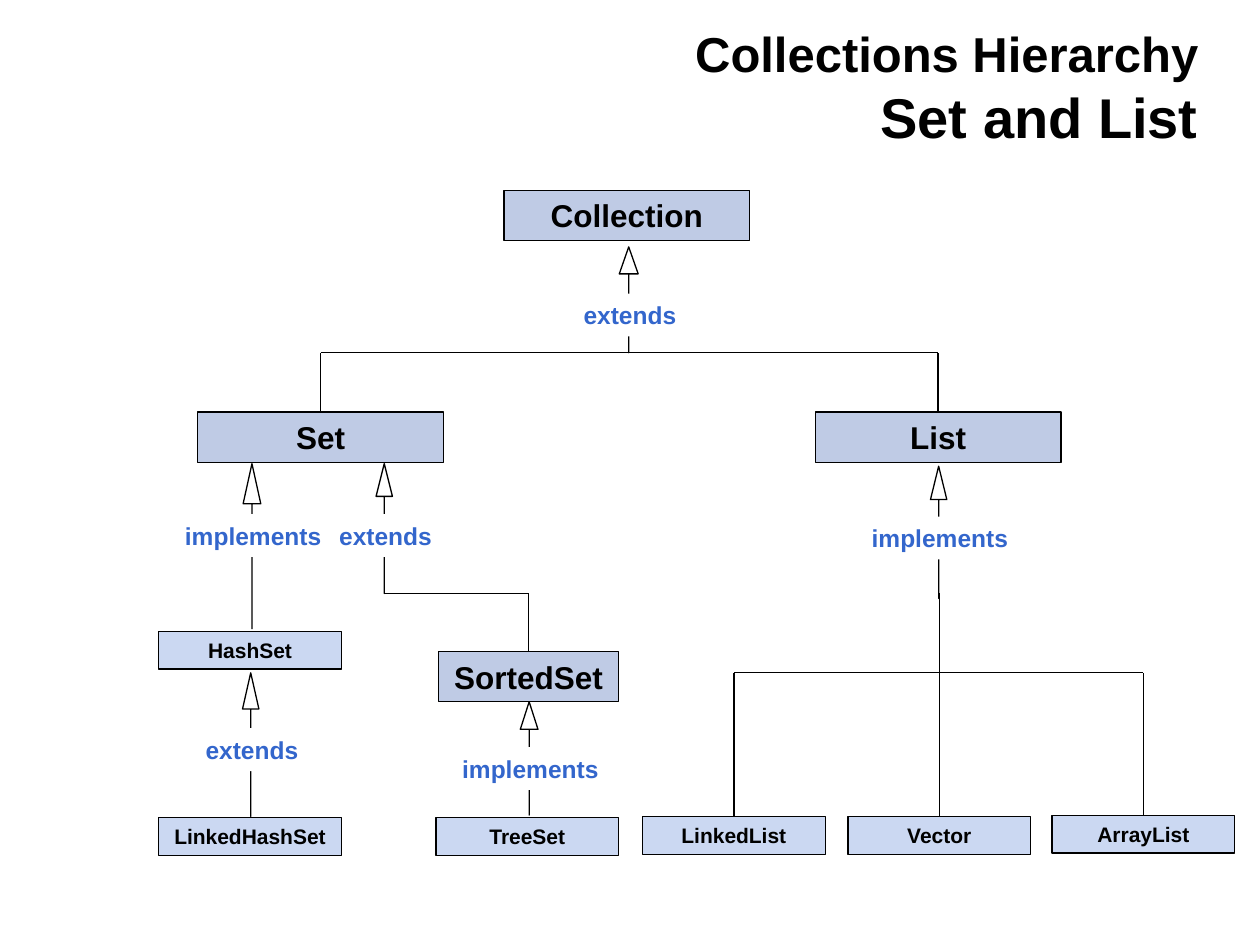
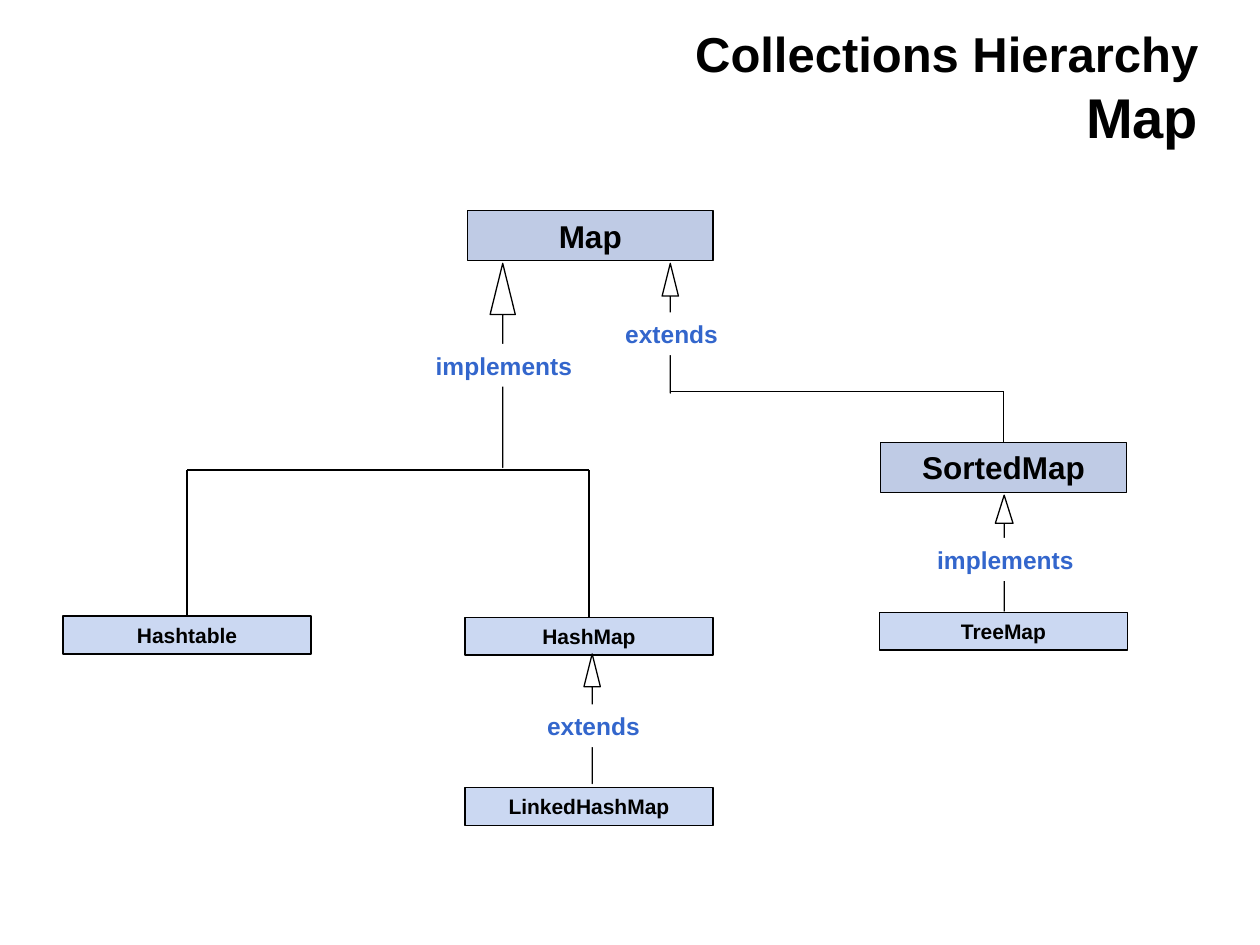
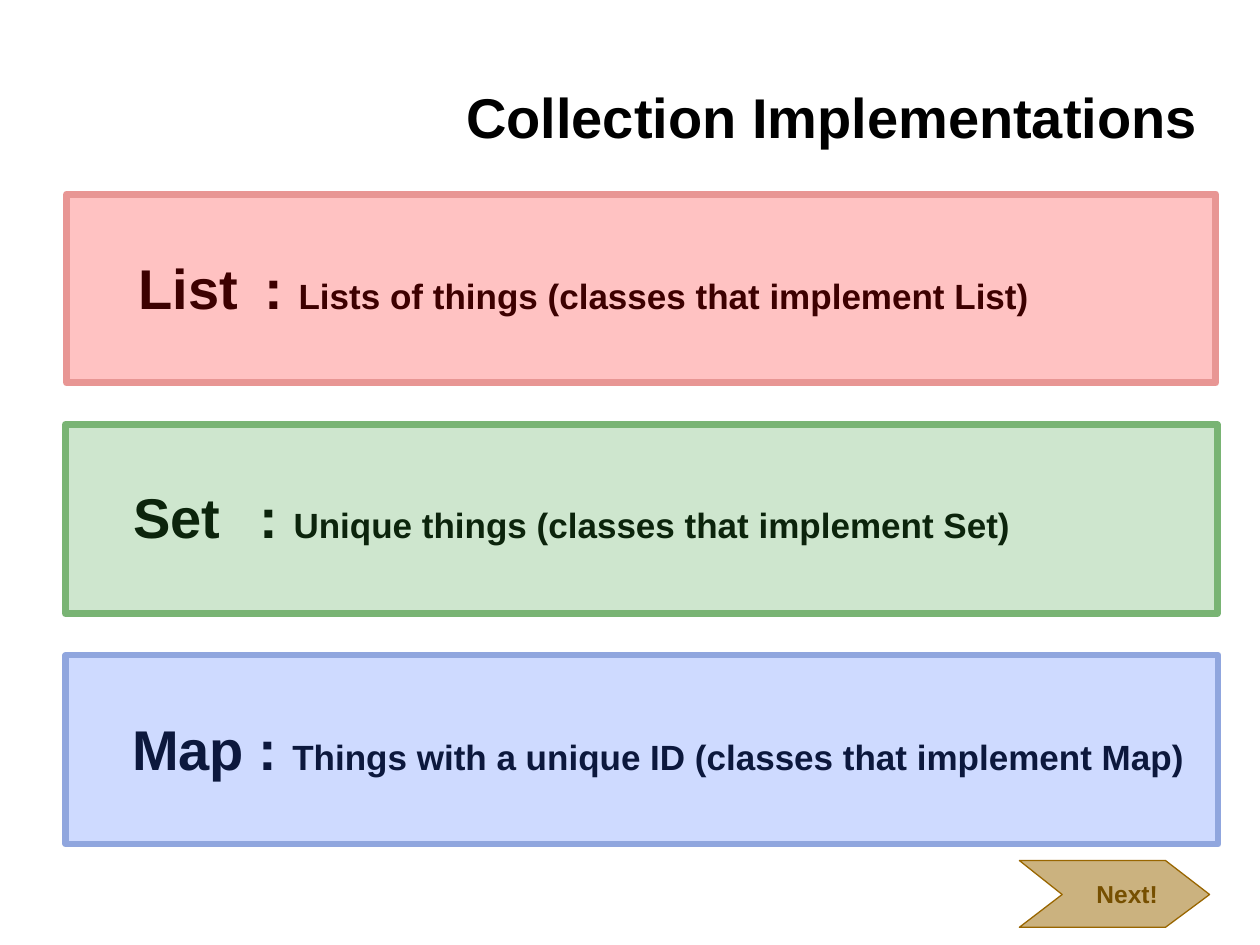
import pptx
import pptx.dml.color
import pptx.enum.shapes
import pptx.enum.text
import pptx.oxml.ns
import pptx.util
from lxml import etree

Inches = pptx.util.Inches
Pt = pptx.util.Pt
ALIGN = pptx.enum.text.PP_ALIGN
ANCHOR = pptx.enum.text.MSO_ANCHOR
SHAPE = pptx.enum.shapes.MSO_SHAPE

FONT = "Arial"
COLORS = {
    "black": "000000",
    "white": "FFFFFF",
    "interface": "003399",
    "class": "3366CC",
    "relation": "3366CC",
    "list": "FF0000",
    "list_line": "E89694",
    "set": "339933",
    "set_line": "79B474",
    "map": "3366FF",
    "map_line": "90A6DE",
    "next": "996600",
    "next_text": "764F00",
}
LABEL_WIDTHS = {"implements": 1.33, "extends": 0.98}
TITLE_LAYOUT = 5


def rgb(name):
    return pptx.dml.color.RGBColor.from_string(COLORS[name])


def add_child(parent, tag, **attributes):
    return etree.SubElement(parent, pptx.oxml.ns.qn(tag), **attributes)


def paint(shape, fill, line=None, line_width=0.75, opacity=100):
    shape.shadow.inherit = False
    shape.fill.solid()
    shape.fill.fore_color.rgb = rgb(fill)
    if opacity < 100:
        color = shape.fill._xPr.find(".//" + pptx.oxml.ns.qn("a:srgbClr"))
        add_child(color, "a:alpha", val=str(opacity * 1000))
    if line:
        shape.line.color.rgb = rgb(line)
        shape.line.width = Pt(line_width)
    else:
        shape.line.fill.background()


def format_run(run, size, color="black"):
    run.font.name = FONT
    run.font.size = Pt(size)
    run.font.bold = True
    run.font.color.rgb = rgb(color)


def write_centred(shape, text, size, color):
    frame = shape.text_frame
    frame.word_wrap = False
    frame.vertical_anchor = ANCHOR.MIDDLE
    frame.text = text
    paragraph = frame.paragraphs[0]
    paragraph.alignment = ALIGN.CENTER
    format_run(paragraph.runs[0], size, color)


def add_shape(slide, kind, left, top, width, height):
    return slide.shapes.add_shape(
        kind, Inches(left), Inches(top), Inches(width), Inches(height))


def add_titled_slide(presentation, title, sizes):
    slide = presentation.slides.add_slide(
        presentation.slide_layouts[TITLE_LAYOUT])
    shape = slide.shapes.title
    shape.left, shape.top = Inches(0.7), Inches(0.04)
    shape.width, shape.height = Inches(8.91), Inches(1.2)
    frame = shape.text_frame
    frame.auto_size = pptx.enum.text.MSO_AUTO_SIZE.NONE
    frame.vertical_anchor = ANCHOR.BOTTOM
    frame.text = title
    paragraph = frame.paragraphs[0]
    paragraph.alignment = ALIGN.RIGHT
    for run, size in zip(paragraph.runs, sizes):
        format_run(run, size)
    return slide


def add_interface(slide, name, left, top, width=1.95):
    box = add_shape(slide, SHAPE.RECTANGLE, left, top, width, 0.4)
    paint(box, "interface", "black", opacity=25)
    write_centred(box, name, 18, "black")
    return box


def add_class(slide, name, left, top, width):
    box = add_shape(slide, SHAPE.RECTANGLE, left, top, width, 0.3)
    paint(box, "class", "black", opacity=25)
    write_centred(box, name, 12, "black")
    return box


def add_relation(slide, text, center, top, width, height, head, label_top):
    arrow = add_shape(
        slide, SHAPE.UP_ARROW, center - width / 2, top, width, height)
    arrow.adjustments[0] = 0
    arrow.adjustments[1] = head
    paint(arrow, "white", "black")
    label_width = LABEL_WIDTHS[text]
    label = add_shape(slide, SHAPE.RECTANGLE, center + 0.01 - label_width / 2,
                      label_top, label_width, 0.34)
    paint(label, "white")
    write_centred(label, text, 14, "relation")


def add_line(slide, start_x, start_y, end_x, end_y):
    connector = slide.shapes.add_connector(
        pptx.enum.shapes.MSO_CONNECTOR.STRAIGHT,
        Inches(start_x), Inches(start_y), Inches(end_x), Inches(end_y))
    connector.line.color.rgb = rgb("black")
    connector.line.width = Pt(0.75)
    add_child(connector._element.spPr, "a:effectLst")
    return connector


def center_x(box):
    return box.left.inches + box.width.inches / 2


def add_riser(slide, box, top):
    center = center_x(box)
    riser = add_line(slide, center, box.top.inches, center, top)
    riser.begin_connect(box, 0)


def add_branch(slide, stem, top, boxes):
    centers = [stem] + [center_x(box) for box in boxes]
    add_line(slide, min(centers), top, max(centers), top)
    for box in boxes:
        add_riser(slide, box, top)


def add_definition(slide, term, meaning, left, top, width, right_margin=0.1):
    box = slide.shapes.add_textbox(
        Inches(left), Inches(top), Inches(width), Inches(0.64))
    frame = box.text_frame
    frame.word_wrap = True
    frame.margin_right = Inches(right_margin)
    paragraph = frame.paragraphs[0]
    tabs = add_child(paragraph._p.get_or_add_pPr(), "a:tabLst")
    add_child(tabs, "a:tab", pos=str(Inches(1)), algn="l")
    for text, size in ((term + "\t: ", 32), (meaning, 20)):
        run = paragraph.add_run()
        run.text = text
        format_run(run, size)


def add_band(slide, color, left, top, width, line_width):
    band = add_shape(slide, SHAPE.RECTANGLE, left, top, width, 1.5)
    paint(band, color, color + "_line", line_width, opacity=24)


def add_next_arrow(slide):
    outline = [(8.09, 6.83), (9.25, 6.83), (9.6, 7.1),
               (9.25, 7.36), (8.09, 7.36), (8.43, 7.1)]
    points = [(Inches(x), Inches(y)) for x, y in outline]
    builder = slide.shapes.build_freeform(*points[0])
    builder.add_line_segments(points[1:], close=True)
    arrow = builder.convert_to_shape()
    paint(arrow, "next", "next", opacity=50)
    write_centred(arrow, "Next!", 14, "next_text")
    arrow.text_frame.margin_left = Inches(0.2)
    arrow.text_frame.margin_right = 0


def build_set_and_list(presentation):
    slide = add_titled_slide(
        presentation, "Collections Hierarchy\vSet and List", (28, 32))
    add_interface(slide, "Collection", 4, 1.51)
    set_box = add_interface(slide, "Set", 1.57, 3.27)
    list_box = add_interface(slide, "List", 6.47, 3.27)
    sorted_set = add_interface(slide, "SortedSet", 3.48, 5.17, 1.43)
    class_places = [
        ("HashSet", 1.26, 5.01),
        ("LinkedHashSet", 1.26, 6.49),
        ("TreeSet", 3.46, 6.49),
        ("LinkedList", 5.1, 6.48),
        ("Vector", 6.73, 6.48),
        ("ArrayList", 8.35, 6.47),
    ]
    classes = {name: add_class(slide, name, left, top, 1.45)
               for name, left, top in class_places}
    for relation in (
        ("extends", 4.99, 1.96, 0.15, 0.84, 1.43, 2.33),
        ("implements", 2, 3.68, 0.14, 1.31, 2.27, 4.08),
        ("extends", 3.05, 3.68, 0.13, 1.03, 2, 4.08),
        ("implements", 7.45, 3.7, 0.13, 1.05, 2.04, 4.1),
        ("extends", 1.99, 5.34, 0.13, 1.14, 2.21, 5.78),
        ("implements", 4.2, 5.57, 0.14, 0.9, 1.56, 5.93),
    ):
        add_relation(slide, *relation)
    add_branch(slide, 4.99, 2.8, [set_box, list_box])
    add_branch(slide, 3.05, 4.71, [sorted_set])
    add_branch(slide, 7.45, 5.34, [classes["LinkedList"], classes["ArrayList"]])
    add_riser(slide, classes["Vector"], 4.71)


def build_map(presentation):
    slide = add_titled_slide(
        presentation, "Collections Hierarchy\vMap", (28, 32))
    add_interface(slide, "Map", 3.71, 1.67)
    sorted_map = add_interface(slide, "SortedMap", 6.99, 3.51)
    hashtable = add_class(slide, "Hashtable", 0.5, 4.89, 1.97)
    hash_map = add_class(slide, "HashMap", 3.69, 4.9, 1.97)
    add_class(slide, "LinkedHashMap", 3.69, 6.25, 1.97)
    add_class(slide, "TreeMap", 6.98, 4.86, 1.97)
    for relation in (
        ("implements", 3.99, 2.09, 0.2, 1.62, 2.03, 2.73),
        ("extends", 5.32, 2.09, 0.13, 1.03, 2, 2.48),
        ("implements", 7.97, 3.93, 0.14, 0.92, 1.59, 4.27),
        ("extends", 4.7, 5.19, 0.13, 1.03, 2, 5.59),
    ):
        add_relation(slide, *relation)
    add_branch(slide, 3.99, 3.73, [hashtable, hash_map])
    add_branch(slide, 5.32, 3.11, [sorted_map])


def build_implementations(presentation):
    slide = add_titled_slide(presentation, "Collection Implementations", (32,))
    add_definition(slide, "Set", "Unique things (classes that implement Set)",
                   0.96, 3.78, 8.1)
    add_definition(slide, "Map",
                   "Things with a unique ID (classes that implement Map)",
                   0.95, 5.62, 8.52, 0)
    add_definition(slide, "List",
                   "Lists of things (classes that implement List)",
                   1, 1.96, 8.39)
    add_band(slide, "map", 0.52, 5.2, 9.15, 3.5)
    add_band(slide, "set", 0.52, 3.37, 9.14, 4)
    add_band(slide, "list", 0.53, 1.54, 9.12, 4)
    add_next_arrow(slide)


def main():
    presentation = pptx.Presentation()
    presentation.slide_width = Inches(10)
    presentation.slide_height = Inches(7.5)
    build_set_and_list(presentation)
    build_map(presentation)
    build_implementations(presentation)
    presentation.save("out.pptx")


if __name__ == "__main__":
    main()
